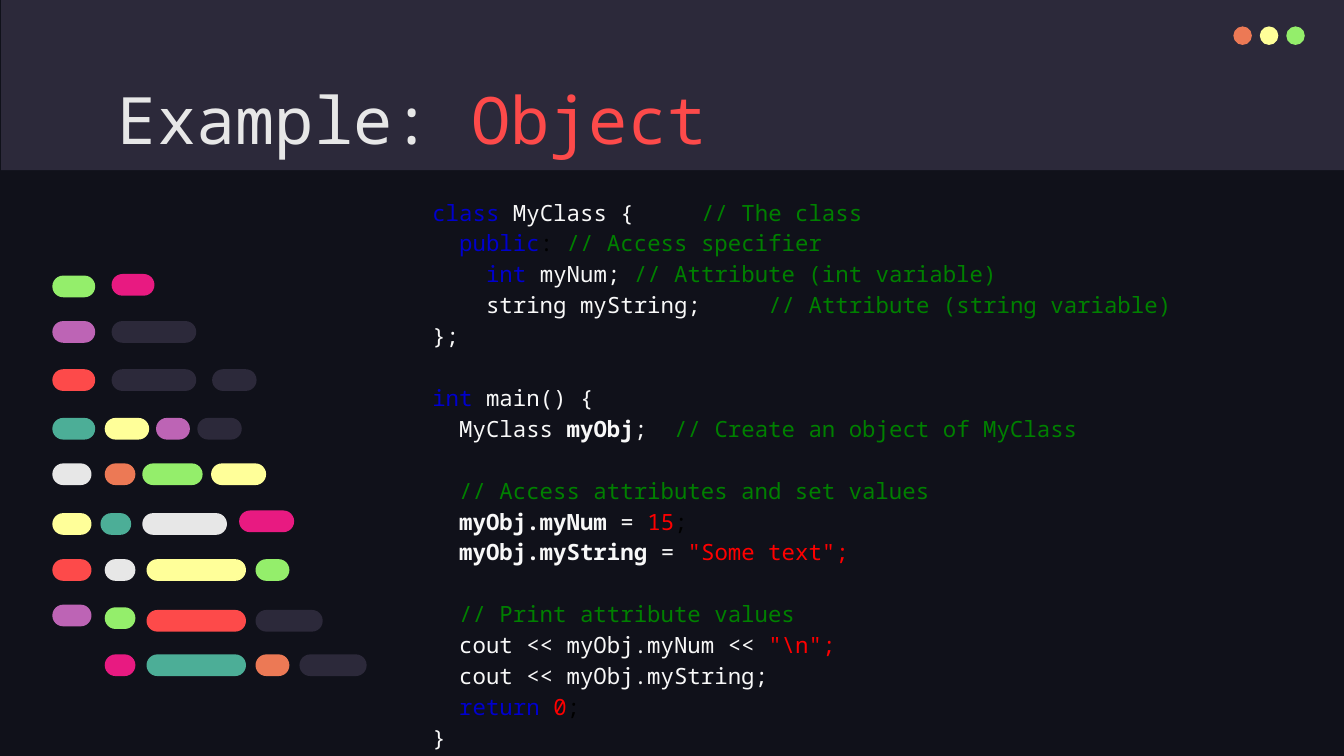
from pptx import Presentation
from pptx.dml.color import RGBColor
from pptx.enum.shapes import MSO_SHAPE
from pptx.enum.text import MSO_ANCHOR, MSO_AUTO_SIZE, PP_ALIGN
from pptx.oxml.ns import qn
from pptx.util import Cm, Pt
from lxml.etree import SubElement

NIGHT = RGBColor(0x10, 0x11, 0x1A)
SLATE = RGBColor(0x2C, 0x29, 0x3A)
ORANGE = RGBColor(0xEC, 0x79, 0x55)
YELLOW = RGBColor(0xFF, 0xFF, 0x99)
GREEN = RGBColor(0x94, 0xEE, 0x6B)
PINK = RGBColor(0xE8, 0x1A, 0x81)
PURPLE = RGBColor(0xBD, 0x64, 0xB5)
CORAL = RGBColor(0xFD, 0x4A, 0x4A)
TEAL = RGBColor(0x4C, 0xAE, 0x97)
LIGHT = RGBColor(0xE7, 0xE7, 0xE7)
# Syntax colours
KEYWORD = RGBColor(0x00, 0x00, 0xCD)
PLAIN = RGBColor(0xF8, 0xF8, 0xF8)
COMMENT = RGBColor(0x00, 0x80, 0x00)
LITERAL = RGBColor(0xFF, 0x00, 0x00)
BLACK = RGBColor(0x00, 0x00, 0x00)

PILL_HEIGHT = 0.41
COMMENT_TAB = 5.59  # 22 characters of 12 pt

# Each code line is a list of runs: text, colour and, if set, bold
CODE = [
    [("class ", KEYWORD), ("MyClass {\t", PLAIN), ("// The class", COMMENT)],
    [("  public", KEYWORD), (":\t", BLACK), ("// Access specifier", COMMENT)],
    [("    int ", KEYWORD), ("myNum;\t", PLAIN), ("// Attribute (int variable)", COMMENT)],
    [("    string myString;\t", PLAIN), ("// Attribute (string variable)", COMMENT)],
    [("};", PLAIN)],
    [],
    [("int ", KEYWORD), ("main() {", PLAIN)],
    [("  MyClass ", PLAIN), ("myObj", PLAIN, True), (";  ", PLAIN),
     ("// Create an object of MyClass", COMMENT)],
    [],
    [("  // Access attributes and set values", COMMENT)],
    [("  myObj.myNum", PLAIN, True), (" = ", PLAIN), ("15", LITERAL), (";", BLACK)],
    [("  myObj.myString", PLAIN, True), (" = ", PLAIN), ('"Some text";', LITERAL)],
    [],
    [("  // Print attribute values", COMMENT)],
    [("  cout << myObj.myNum << ", PLAIN), ('"\\n";', LITERAL)],
    [("  cout << myObj.myString;", PLAIN)],
    [("  return ", KEYWORD), ("0", LITERAL), (";", BLACK)],
    [("}", PLAIN)],
]

# Rows of pills: top, then left, width and colour of each pill
PILL_ROWS = [
    (5.21, [(0.99, 0.81, GREEN)]),
    (5.18, [(2.11, 0.81, PINK)]),
    (6.07, [(0.99, 0.81, PURPLE), (2.11, 1.6, SLATE)]),
    (6.98, [(0.99, 0.81, CORAL), (2.11, 1.6, SLATE), (4.01, 0.84, SLATE)]),
    (7.9, [(0.99, 0.81, TEAL), (1.98, 0.84, YELLOW), (2.95, 0.64, PURPLE),
           (3.73, 0.84, SLATE)]),
    (8.76, [(0.99, 0.74, LIGHT), (1.98, 0.58, ORANGE), (2.69, 1.14, GREEN),
            (3.99, 1.04, YELLOW)]),
    (9.7, [(0.99, 0.74, YELLOW), (1.9, 0.58, TEAL), (2.69, 1.6, LIGHT)]),
    (9.65, [(4.52, 1.04, PINK)]),
    (10.57, [(0.99, 0.74, CORAL), (1.98, 0.58, LIGHT), (2.77, 1.88, YELLOW),
             (4.83, 0.64, GREEN)]),
    (11.43, [(0.99, 0.74, PURPLE)]),
    (11.48, [(1.98, 0.58, GREEN)]),
    (11.53, [(2.77, 1.88, CORAL), (4.83, 1.27, SLATE)]),
    (12.37, [(1.98, 0.58, PINK), (2.77, 1.88, TEAL), (4.83, 0.64, ORANGE),
             (5.66, 1.27, SLATE)]),
]


class SlideBuilder:
    font_name = "Noto Sans Mono"

    def __init__(self, slide):
        self.slide = slide

    def background(self, color):
        fill = self.slide.background.fill
        fill.solid()
        fill.fore_color.rgb = color

    def shape(self, kind, left, top, width, height, color, parent=None):
        shapes = (parent or self.slide).shapes
        shape = shapes.add_shape(kind, Cm(left), Cm(top), Cm(width), Cm(height))
        shape.shadow.inherit = False
        shape.fill.solid()
        shape.fill.fore_color.rgb = color
        shape.line.fill.background()
        return shape

    def band(self, left, top, width, height, color):
        shape = self.shape(MSO_SHAPE.RECTANGLE, left, top, width, height, color)
        # Behind the placeholders, after the two group property elements
        shape.element.getparent().insert(2, shape.element)

    def pill(self, left, top, width, color, group):
        shape = self.shape(MSO_SHAPE.ROUNDED_RECTANGLE, left, top, width,
                           PILL_HEIGHT, color, group)
        shape.adjustments[0] = 0.5

    def text(self, placeholder, left, top, width, height, lines, size,
             spacing=1.0, tab=None):
        placeholder.left, placeholder.top = Cm(left), Cm(top)
        placeholder.width, placeholder.height = Cm(width), Cm(height)
        frame = placeholder.text_frame
        frame.word_wrap = True
        frame.auto_size = MSO_AUTO_SIZE.NONE
        frame.vertical_anchor = MSO_ANCHOR.TOP
        frame.margin_left = frame.margin_right = Cm(0.25)
        frame.margin_top = frame.margin_bottom = Cm(0.25)
        paragraph = frame.paragraphs[0]
        paragraph.alignment = PP_ALIGN.LEFT
        paragraph.line_spacing = spacing
        paragraph.space_before = Pt(0)
        if tab:
            tabs = SubElement(paragraph._p.get_or_add_pPr(), qn("a:tabLst"))
            SubElement(tabs, qn("a:tab"), pos=str(Cm(tab)), algn="l")
        paragraph.font.size = Pt(size)
        paragraph.font.name = self.font_name
        for index, line in enumerate(lines):
            if index:
                paragraph.add_line_break()
            for content, color, *bold in line:
                run = paragraph.add_run()
                run.text = content
                run.font.name = self.font_name
                run.font.size = Pt(size)
                run.font.bold = bool(bold)
                run.font.color.rgb = color
        # Line breaks take the text size, so empty lines keep their height
        for line_break in paragraph._p.findall(qn("a:br")):
            properties = SubElement(line_break, qn("a:rPr"), sz=str(size * 100))
            SubElement(properties, qn("a:latin"), typeface=self.font_name)


def main():
    presentation = Presentation()
    presentation.slide_width, presentation.slide_height = Cm(25.4), Cm(14.29)
    slide = presentation.slides.add_slide(presentation.slide_layouts[0])
    builder = SlideBuilder(slide)
    builder.background(NIGHT)

    # Header band with three window buttons
    builder.band(0.02, 0, 25.4, 3.22, SLATE)
    for index, color in enumerate((ORANGE, YELLOW, GREEN)):
        builder.shape(MSO_SHAPE.OVAL, 23.31 + 0.5 * index, 0.5, 0.35, 0.35, color)

    # Title and code listing
    builder.text(slide.shapes.title, 1.98, 1.24, 21.41, 1.7,
                 [[("Example: ", LIGHT), ("Object", CORAL)]], 35)
    builder.text(slide.placeholders[1], 7.92, 3.43, 16.89, 10.85, CODE, 12,
                 spacing=1.15, tab=COMMENT_TAB)

    # Pills that suggest lines of code
    group = slide.shapes.add_group_shape()
    for top, pills in PILL_ROWS:
        for left, width, color in pills:
            builder.pill(left, top, width, color, group)

    presentation.save("out.pptx")


if __name__ == "__main__":
    main()
